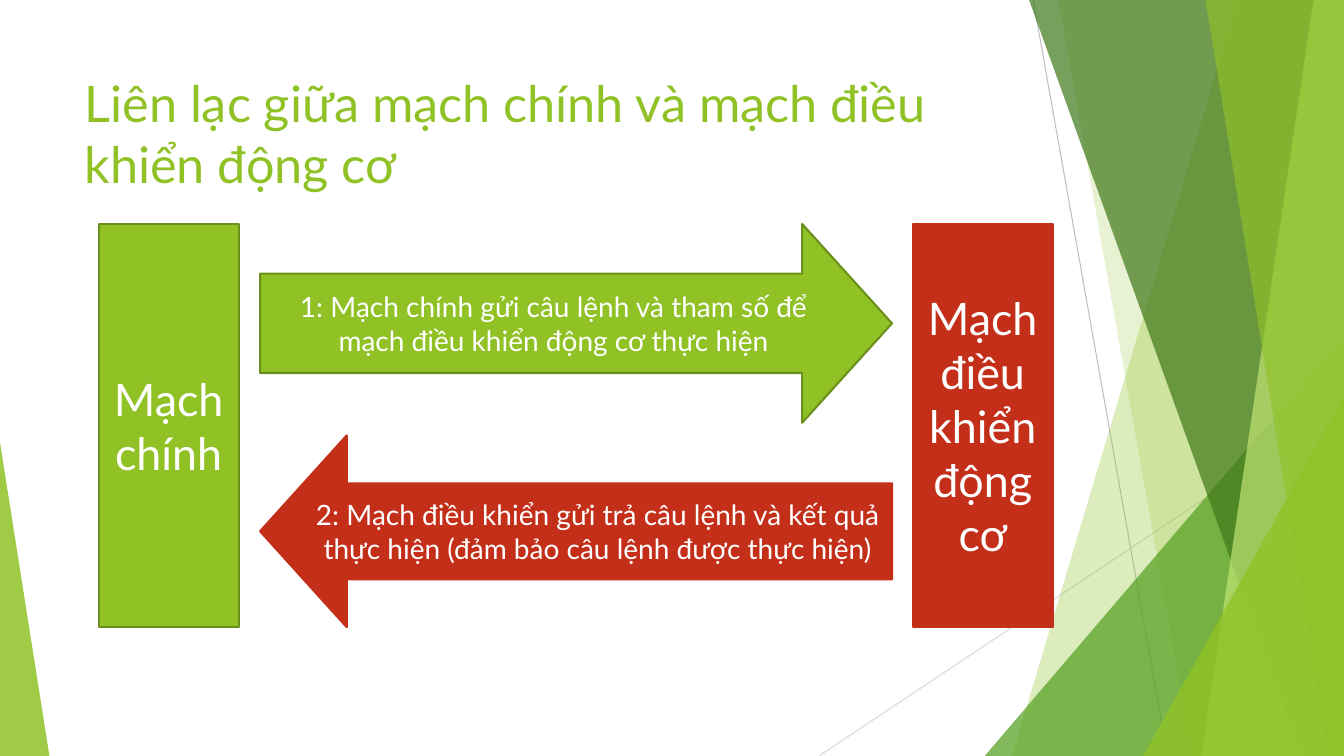
"""Build the slide on messages between the main board and the motor board."""
from dataclasses import dataclass

from lxml.etree import SubElement
from pptx import Presentation
from pptx.dml.color import RGBColor as Color
from pptx.enum.shapes import MSO_CONNECTOR as Connector, MSO_SHAPE as Shape
from pptx.enum.text import MSO_ANCHOR as Anchor, PP_ALIGN as Align
from pptx.oxml.ns import qn
from pptx.util import Pt

WIDTH, HEIGHT = 960, 540

TITLE = "Liên lạc giữa mạch chính và mạch điều khiển động cơ"
MAIN_BOARD = "Mạch chính"
MOTOR_BOARD = "Mạch điều khiển động cơ"
COMMAND = "1: Mạch chính gửi câu lệnh và tham số để mạch điều khiển động cơ thực hiện"
REPLY = ("2: Mạch điều khiển gửi trả câu lệnh và kết quả thực hiện "
         "(đảm bảo câu lệnh được thực hiện)")


@dataclass(frozen=True)
class Theme:
    """Font, type sizes and colours."""
    font: str = "Lato"
    title: int = 36
    board: int = 32
    message: int = 20
    white: str = "FFFFFF"
    lime: str = "90C226"
    olive: str = "6B901C"
    red: str = "C42F1A"
    green: str = "54A021"
    forest: str = "3F7819"
    pale: str = "C0E474"
    gray: str = "BFBFBF"
    silver: str = "D9D9D9"


THEME = Theme()

RAYS = [((738, 0), (834, HEIGHT), THEME.gray),
        ((WIDTH, 290), (585, HEIGHT), THEME.silver)]

# fmt: off
FACETS = [
    ("band", (884.2, 722.9), THEME.lime, 30),
    ("band", (756, 851.8), THEME.lime, 20),
    ("wedge", (703.4, 239.8, WIDTH, 1), THEME.green, 72),
    ("band", (735.1, 929.5), THEME.forest, 70),
    ("band", (938.2, 858.2), THEME.pale, 70),
    ("band", (861.1, 949), THEME.lime, 65),
    ("wedge", (816.5, 283, WIDTH, 1), THEME.lime, 80),
    ("wedge", (0, 316.1, 35.3, 0), THEME.lime, 85),
]
# fmt: on

TOP, BOTTOM = 160, 448
BOARD_LEFT, BOARD_WIDTH, BOARD_STEP = 70.5, 100, 581.5
ARROW_LEFT, ARROW_WIDTH = 185.8, 451.4
COMMAND_HEIGHT, REPLY_HEIGHT = 142, 137
HEAD_RATIO = 0.452


def write(shape, text, size, color, align=Align.CENTER, anchor=Anchor.MIDDLE):
    """Put one formatted paragraph into a shape."""
    frame = shape.text_frame
    frame.word_wrap = True
    frame.vertical_anchor = anchor
    para = frame.paragraphs[0]
    para.alignment = align
    span = para.add_run()
    span.text = text
    span.font.name = THEME.font
    span.font.size = Pt(size)
    span.font.color.rgb = Color.from_string(color)


def paint(shape, fill, line=None, opacity=100):
    """Set fill, outline and opacity, and drop the shadow."""
    shape.shadow.inherit = False
    shape.fill.solid()
    shape.fill.fore_color.rgb = Color.from_string(fill)
    if opacity < 100:
        tint = shape._element.spPr.find(qn("a:solidFill"))[0]
        SubElement(tint, qn("a:alpha"), val=str(opacity * 1000))
    if line:
        shape.line.color.rgb = Color.from_string(line)
        shape.line.width = Pt(1.5)
    else:
        shape.line.fill.background()


def add_ray(page, start, end, color):
    """Draw one thin background line."""
    ray = page.shapes.add_connector(Connector.STRAIGHT, *map(Pt, start + end))
    ray.line.color.rgb = Color.from_string(color)
    ray.line.width = Pt(0.75)
    SubElement(ray._element.spPr, qn("a:effectLst"))


def add_facet(page, kind, place, color, opacity):
    """Draw a band reaching the right edge, or a wedge on the bottom edge."""
    if kind == "band":
        top_x, bottom_x = place
        outline = page.shapes.build_freeform(Pt(top_x), 0)
        corners = [(WIDTH, 0), (WIDTH, HEIGHT), (bottom_x, HEIGHT)]
        outline.add_line_segments([(Pt(x), Pt(y)) for x, y in corners])
        facet = outline.convert_to_shape()
    else:
        left, top, right, apex = place
        facet = page.shapes.add_shape(
            Shape.ISOSCELES_TRIANGLE, Pt(left), Pt(top), Pt(right - left), Pt(HEIGHT - top))
        facet.adjustments[0] = apex
    paint(facet, color, opacity=opacity)


def add_block(page, kind, bounds, text, size, fill, line):
    """Draw one labelled board or arrow."""
    block = page.shapes.add_shape(kind, *map(Pt, bounds))
    if kind != Shape.RECTANGLE:
        block.adjustments[1] = HEAD_RATIO
    paint(block, fill, line)
    write(block, text, size, THEME.white)


def main():
    """Compose and save the slide."""
    deck = Presentation()
    deck.slide_width, deck.slide_height = Pt(WIDTH), Pt(HEIGHT)
    page = deck.slides.add_slide(deck.slide_layouts[6])
    for ray in RAYS:
        add_ray(page, *ray)
    for facet in FACETS:
        add_facet(page, *facet)

    box = page.shapes.add_textbox(Pt(53.3), Pt(48), Pt(677), Pt(104))
    write(box, TITLE, THEME.title, THEME.lime, align=Align.LEFT, anchor=Anchor.TOP)

    looks = [(THEME.lime, THEME.olive), (THEME.red, THEME.red)]
    for index, (text, look) in enumerate(zip((MAIN_BOARD, MOTOR_BOARD), looks)):
        bounds = (BOARD_LEFT + index * BOARD_STEP, TOP, BOARD_WIDTH, BOTTOM - TOP)
        add_block(page, Shape.RECTANGLE, bounds, text, THEME.board, *look)

    arrows = [(Shape.RIGHT_ARROW, TOP, COMMAND_HEIGHT, COMMAND),
              (Shape.LEFT_ARROW, BOTTOM - REPLY_HEIGHT, REPLY_HEIGHT, REPLY)]
    for (kind, top, height, text), look in zip(arrows, looks):
        bounds = (ARROW_LEFT, top, ARROW_WIDTH, height)
        add_block(page, kind, bounds, text, THEME.message, *look)
    deck.save("out.pptx")


if __name__ == "__main__":
    main()
